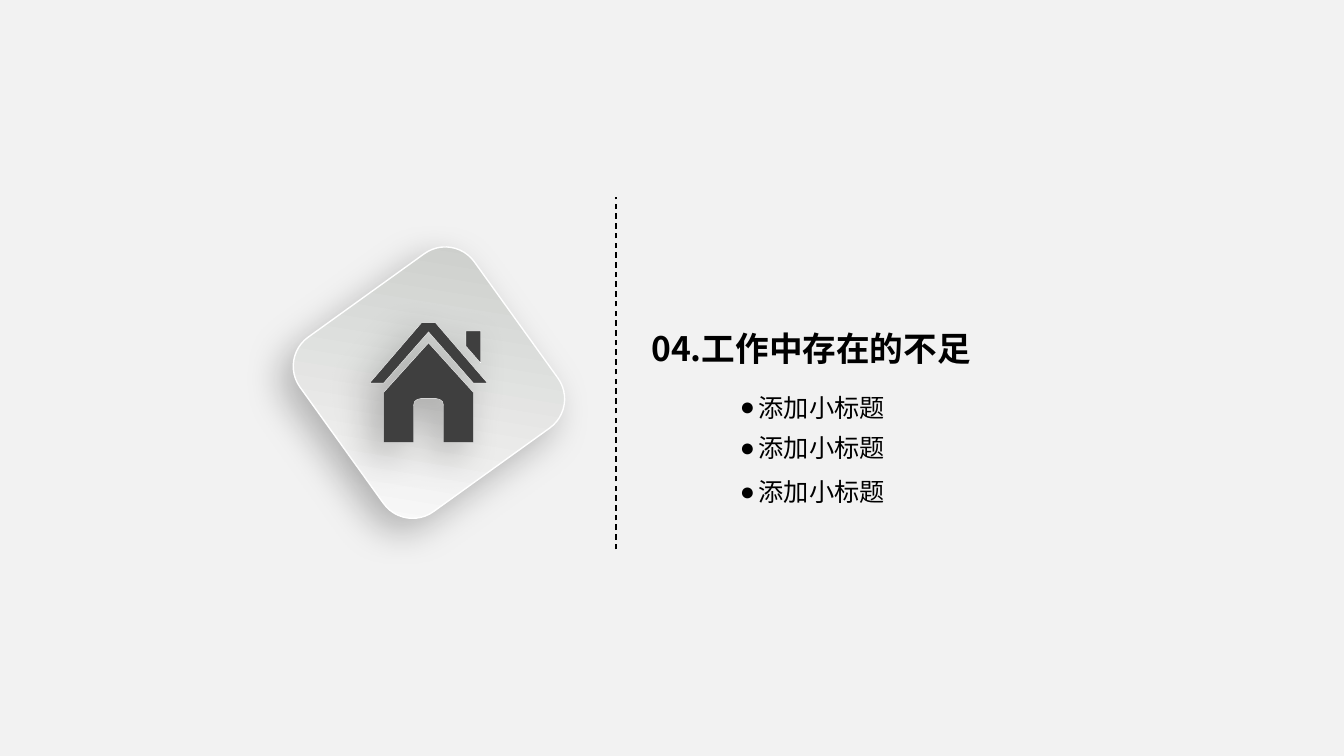
from lxml.etree import SubElement
from pptx import Presentation
from pptx.dml.color import RGBColor
from pptx.enum.dml import MSO_LINE
from pptx.enum.shapes import MSO_CONNECTOR, MSO_SHAPE
from pptx.enum.text import MSO_ANCHOR, MSO_AUTO_SIZE, PP_ALIGN
from pptx.oxml.ns import qn
from pptx.util import Pt

TITLE = "04.工作中存在的不足"
ITEMS = ["添加小标题", "添加小标题", "添加小标题"]
ITEM_GAPS = [0, 7.3, 9.9]
FONT = "Noto Sans CJK SC"
COLORS = {"back": "F2F2F2", "text": "000000", "icon": "3F3F3F", "edge": "FFFFFF",
          "tile_top": "C9CBC8", "tile_bottom": "FCFCFC"}

# left, top, width, height
TITLE_BOX = (383.8, 230.4, 391, 94.3)
LIST_BOX = (528.5, 280, 158.4, 91)
TILE_BOX = (229.7, 196.6, 153.4, 153.4)
DIVIDER = (440, 141, 392.5)  # x, top, bottom

# House outlines, measured from the middle of its top edge
HOUSE_AT = (306.1, 230.6)
WALLS_RIGHT = [(0, 14.4), (32, 49.7), (32, 85.5), (10.7, 85.5), (10.7, 59),
               (10, 56.2), (8, 54.7), (5, 54)]
ROOF_RIGHT = [(5, 0), (42, 43), (32, 43), (0, 6.5)]
CHIMNEY = [(26.8, 5.8), (37.3, 5.8), (37.3, 28.8), (26.8, 16.8)]


def rgb(name):
    return RGBColor.from_string(COLORS[name])


def mirrored(right):
    return right + [(-x, y) for x, y in reversed(right) if x]


def add_shadow(sp):
    effects = SubElement(sp.element.spPr, qn("a:effectLst"))
    shadow = SubElement(effects, qn("a:outerShdw"), blurRad=str(Pt(27)),
                        dist=str(Pt(12)), dir=str(135 * 60000), algn="tr",
                        rotWithShape="0")
    color = SubElement(shadow, qn("a:srgbClr"), val=COLORS["text"])
    SubElement(color, qn("a:alpha"), val="26000")


def set_edge(sp, width):
    sp.line.color.rgb = rgb("edge")
    sp.line.width = Pt(width)


def place_text(ph, box, margins):
    ph.left, ph.top, ph.width, ph.height = map(Pt, box)
    tf = ph.text_frame
    tf.auto_size = MSO_AUTO_SIZE.NONE
    tf.word_wrap = True
    tf.vertical_anchor = MSO_ANCHOR.TOP
    tf.margin_left = tf.margin_right = Pt(margins[0])
    tf.margin_top = tf.margin_bottom = Pt(margins[1])
    return tf


def format_runs(p, size, bold):
    for r in p.runs:
        r.font.size = Pt(size)
        r.font.bold = bold
        r.font.name = FONT
        r.font.color.rgb = rgb("text")
        SubElement(r.font._element, qn("a:ea"), typeface=FONT)


def add_tile(shapes):
    tile = shapes.add_shape(MSO_SHAPE.ROUNDED_RECTANGLE, *map(Pt, TILE_BOX))
    tile.rotation = 324.3
    tile.fill.gradient()
    tile.fill.gradient_angle = 225
    for stop, name, position in zip(tile.fill.gradient_stops,
                                    ("tile_top", "tile_bottom"), (0, 1)):
        stop.color.rgb = rgb(name)
        stop.position = position
    set_edge(tile, 1)
    add_shadow(tile)


def add_house(shapes):
    builder = None
    for outline in (mirrored(WALLS_RIGHT), CHIMNEY, mirrored(ROOF_RIGHT)):
        points = [(Pt(x), Pt(y)) for x, y in outline]
        if builder is None:
            builder = shapes.build_freeform(*points[0])
        else:
            builder.move_to(*points[0])
        builder.add_line_segments(points[1:], close=True)
    house = builder.convert_to_shape(*map(Pt, HOUSE_AT))
    house.fill.solid()
    house.fill.fore_color.rgb = rgb("icon")
    set_edge(house, 0.25)
    add_shadow(house)


def add_divider(shapes):
    x, top, bottom = map(Pt, DIVIDER)
    line = shapes.add_connector(MSO_CONNECTOR.STRAIGHT, x, bottom, x, top)
    line.line.color.rgb = rgb("text")
    line.line.width = Pt(1)
    line.line.dash_style = MSO_LINE.DASH
    SubElement(line._element.spPr, qn("a:effectLst"))


def fill_title(ph):
    tf = place_text(ph, TITLE_BOX, (7.2, 3.6))
    tf.text = TITLE
    p = tf.paragraphs[0]
    p.alignment = PP_ALIGN.CENTER
    format_runs(p, 24, True)


def fill_list(ph):
    tf = place_text(ph, LIST_BOX, (0, 0))
    tf.text = "\n".join(ITEMS)
    for p, gap in zip(tf.paragraphs, ITEM_GAPS):
        pPr = p._p.get_or_add_pPr()
        pPr.set("marL", str(Pt(13.5)))
        pPr.set("indent", str(Pt(-13.5)))
        SubElement(pPr, qn("a:buChar"), char="●")
        p.space_before = Pt(gap)
        format_runs(p, 18, False)


def main():
    prs = Presentation()
    prs.slide_width, prs.slide_height = Pt(960), Pt(540)
    s = prs.slides.add_slide(prs.slide_layouts[1])
    s.background.fill.solid()
    s.background.fill.fore_color.rgb = rgb("back")
    icon = s.shapes.add_group_shape()
    add_tile(icon.shapes)
    add_house(icon.shapes)
    add_divider(s.shapes)
    fill_title(s.shapes.title)
    fill_list(s.placeholders[1])
    prs.save("out.pptx")


if __name__ == "__main__":
    main()
